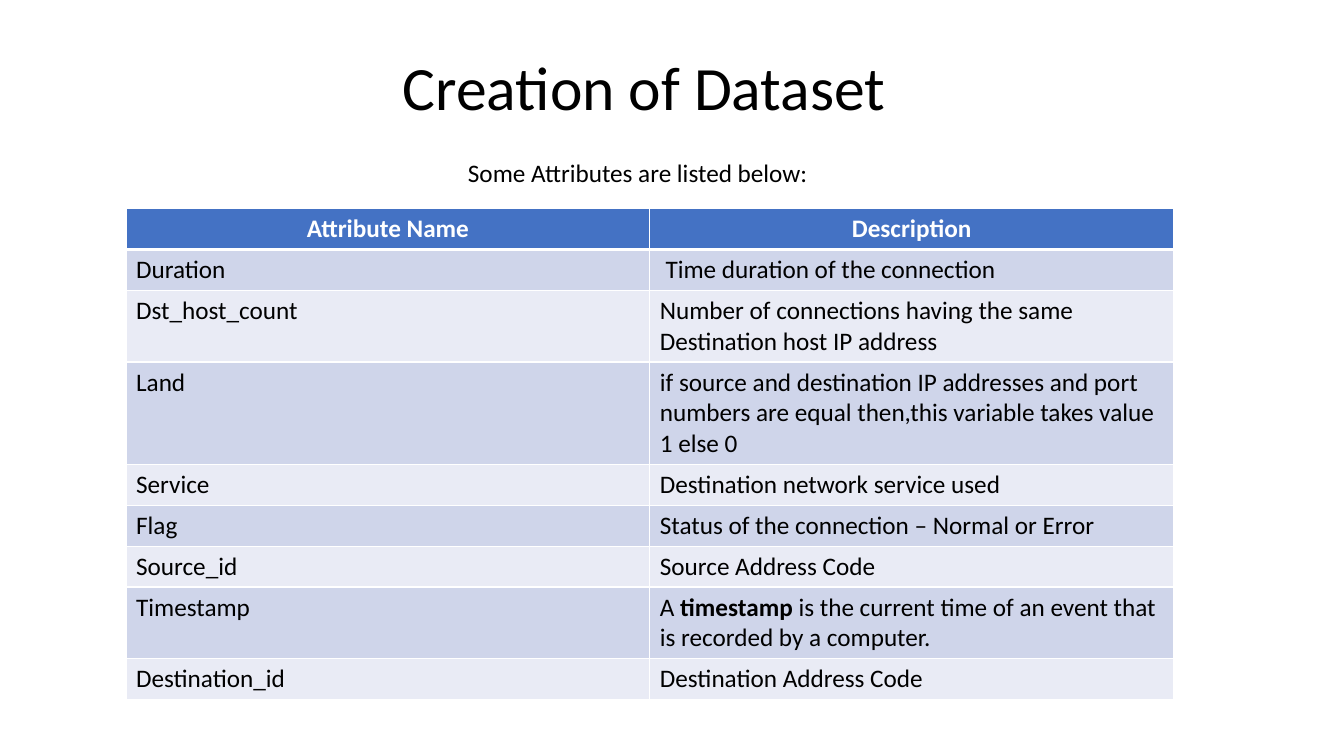
from dataclasses import dataclass

from lxml import etree
from pptx import Presentation
from pptx.dml.color import RGBColor
from pptx.enum import text
from pptx.oxml import ns
from pptx.util import Inches, Pt


@dataclass(frozen=True)
class Theme:
    font: str = "Calibri"
    title_size: int = 44
    body_size: int = 18
    ink: str = "000000"
    paper: str = "FFFFFF"
    header_fill: str = "4472C4"
    band_fills: tuple = ("CFD5EA", "E9EBF5")
    border_width: float = 1
    header_rule_width: float = 3


ATTRIBUTES = [
    ("Attribute Name", "Description"),
    ("Duration", " Time duration of the connection"),
    ("Dst_host_count", "Number of connections having the same\nDestination host IP address"),
    ("Land", "if source and destination IP addresses and port numbers are equal "
             "then,this variable takes value 1 else 0"),
    ("Service", "Destination network service used"),
    ("Flag", "Status of the connection – Normal or Error"),
    ("Source_id", "Source Address Code"),
    ("Timestamp", "A **timestamp** is the current time of an event that "
                  "is recorded by a computer."),
    ("Destination_id", "Destination Address Code"),
]
ONE_LINE, TWO_LINES, THREE_LINES = 0.4, 0.7, 1.0
ROW_HEIGHTS = [ONE_LINE, ONE_LINE, TWO_LINES, THREE_LINES, ONE_LINE,
               ONE_LINE, ONE_LINE, TWO_LINES, ONE_LINE]


class SlideBuilder:
    def __init__(self, slide, theme):
        self.slide = slide
        self.theme = theme

    def fill_text(self, frame, content, size, color, bold=False, **paragraph_format):
        """Fill a text frame; newlines split paragraphs and ** toggles bold."""
        for index, line in enumerate(content.split("\n")):
            paragraph = frame.add_paragraph() if index else frame.paragraphs[0]
            for name, value in paragraph_format.items():
                setattr(paragraph, name, value)
            for part, words in enumerate(line.split("**")):
                run = paragraph.add_run()
                run.text = words
                run_format = {"name": self.theme.font, "size": Pt(size),
                              "bold": bold or part % 2 == 1}
                for name, value in run_format.items():
                    setattr(run.font, name, value)
                run.font.color.rgb = RGBColor.from_string(color)

    def title(self, content, left, top, width, height):
        shape = self.slide.shapes.title
        position = {"left": left, "top": top, "width": width, "height": height}
        for name, value in position.items():
            setattr(shape, name, Inches(value))
        frame = shape.text_frame
        frame.auto_size = text.MSO_AUTO_SIZE.NONE
        frame.vertical_anchor = text.MSO_ANCHOR.MIDDLE
        self.fill_text(frame, content, self.theme.title_size, self.theme.ink,
                       alignment=text.PP_ALIGN.CENTER, line_spacing=0.9)

    def caption(self, content, left, top, width, height):
        box = self.slide.shapes.add_textbox(*map(Inches, (left, top, width, height)))
        box.text_frame.word_wrap = True
        box.text_frame.auto_size = text.MSO_AUTO_SIZE.SHAPE_TO_FIT_TEXT
        self.fill_text(box.text_frame, content, self.theme.body_size, self.theme.ink,
                       alignment=text.PP_ALIGN.CENTER)

    def cell_borders(self, cell, widths):
        properties = cell._tc.get_or_add_tcPr()
        for side, width in widths.items():
            line = etree.SubElement(properties, ns.qn(f"a:ln{side}"), w=str(int(Pt(width))))
            fill = etree.SubElement(line, ns.qn("a:solidFill"))
            etree.SubElement(fill, ns.qn("a:srgbClr"), val=self.theme.paper)

    def table(self, rows, row_heights, left, top, width):
        theme = self.theme
        table = self.slide.shapes.add_table(
            len(rows), len(rows[0]), Inches(left), Inches(top),
            Inches(width), Inches(sum(row_heights))).table
        for row_index, (values, height) in enumerate(zip(rows, row_heights)):
            table.rows[row_index].height = Inches(height)
            is_header = row_index == 0
            fill = theme.header_fill if is_header else theme.band_fills[(row_index - 1) % 2]
            widths = dict.fromkeys("LRTB", theme.border_width)
            if is_header:
                widths["B"] = theme.header_rule_width
            elif row_index == 1:
                widths["T"] = theme.header_rule_width
            for column, content in enumerate(values):
                cell = table.cell(row_index, column)
                self.cell_borders(cell, widths)
                cell.fill.solid()
                cell.fill.fore_color.rgb = RGBColor.from_string(fill)
                self.fill_text(
                    cell.text_frame, content, theme.body_size,
                    theme.paper if is_header else theme.ink, bold=is_header,
                    alignment=text.PP_ALIGN.CENTER if is_header else text.PP_ALIGN.LEFT)


def main():
    presentation = Presentation()
    presentation.slide_width = Inches(13.33)
    presentation.slide_height = Inches(7.5)
    title_only = presentation.slide_layouts[5]
    builder = SlideBuilder(presentation.slides.add_slide(title_only), Theme())
    builder.title("Creation of Dataset ", 0.96, 0.37, 11, 1.05)
    builder.table(ATTRIBUTES, ROW_HEIGHTS, 1.25, 2.07, 10.39)
    builder.caption("Some Attributes are listed below:", 4.08, 1.51, 4.49, 0.41)
    presentation.save("out.pptx")


if __name__ == "__main__":
    main()
